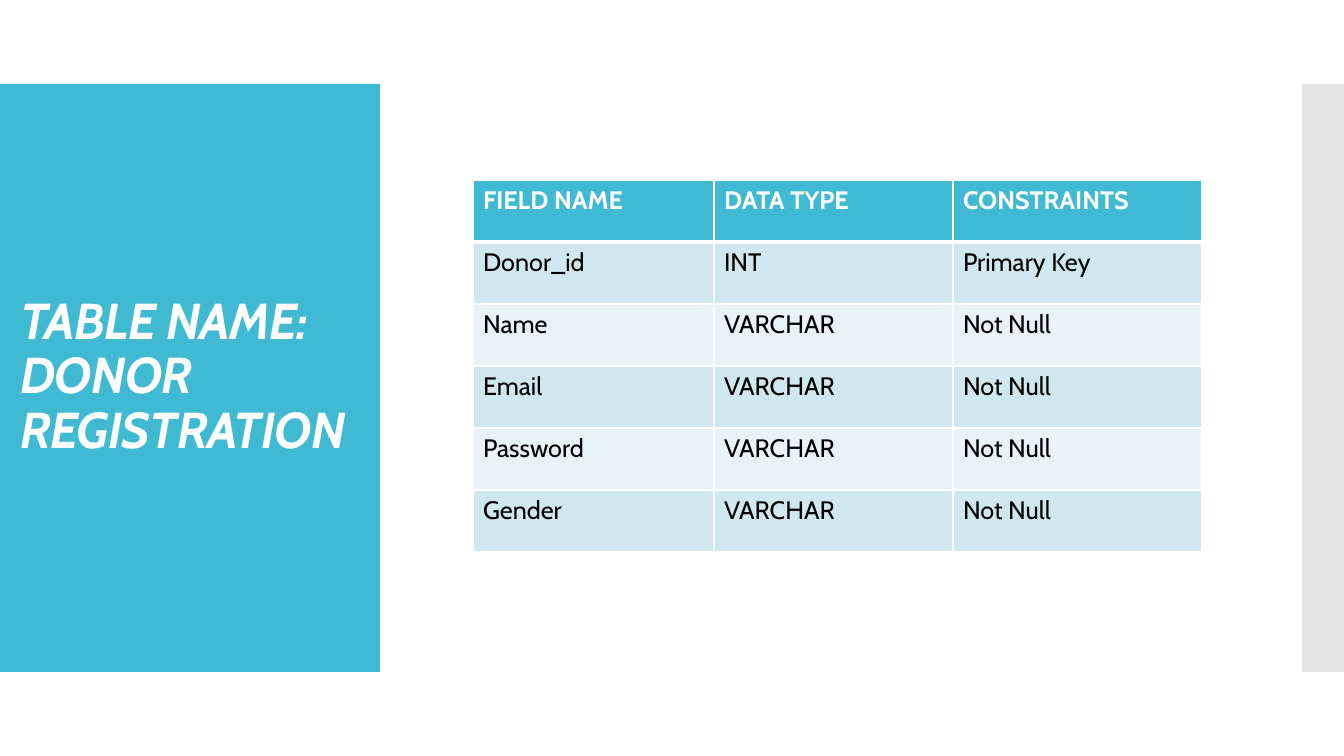
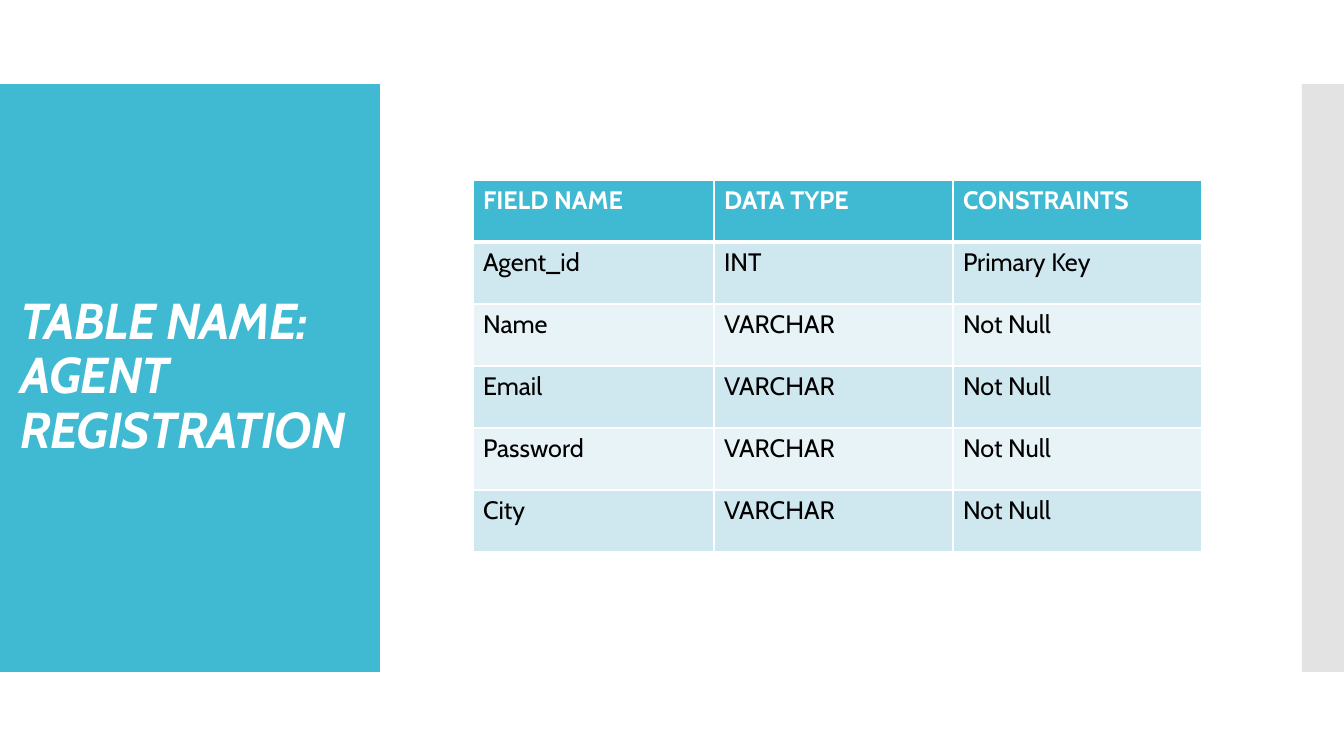
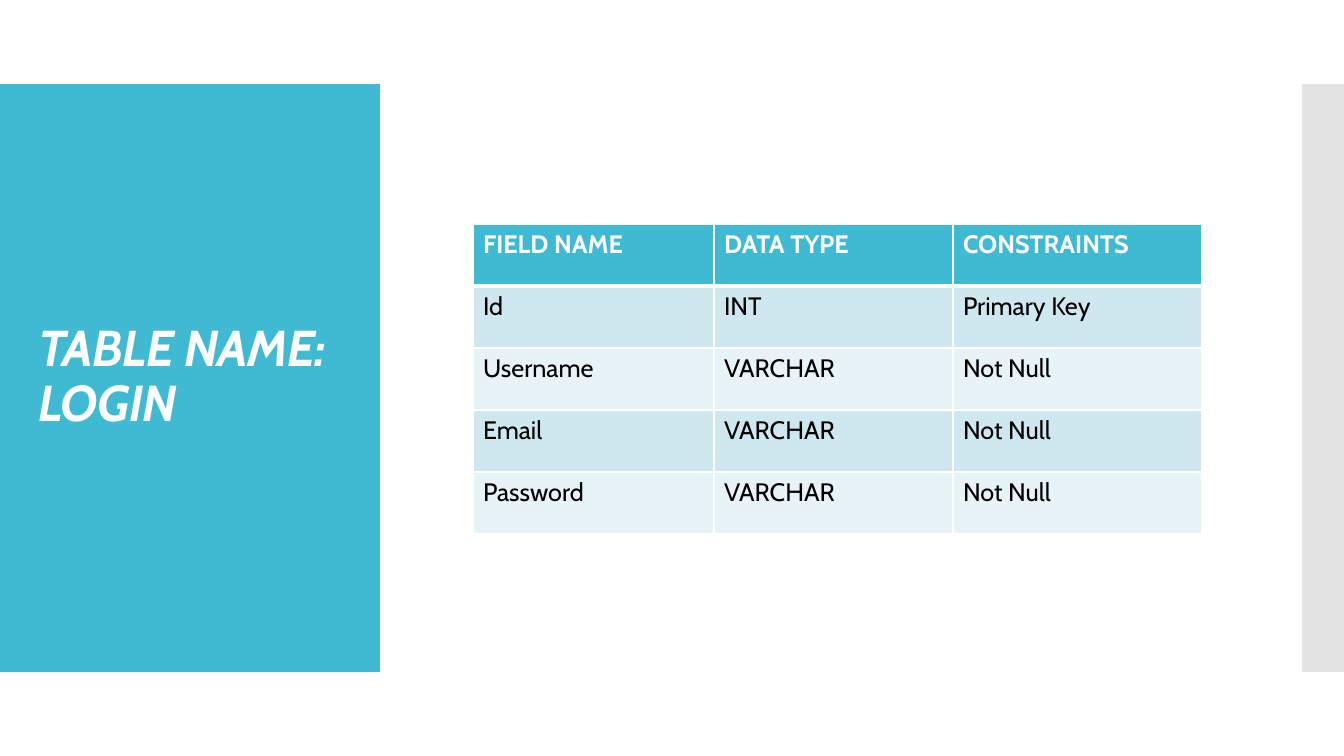
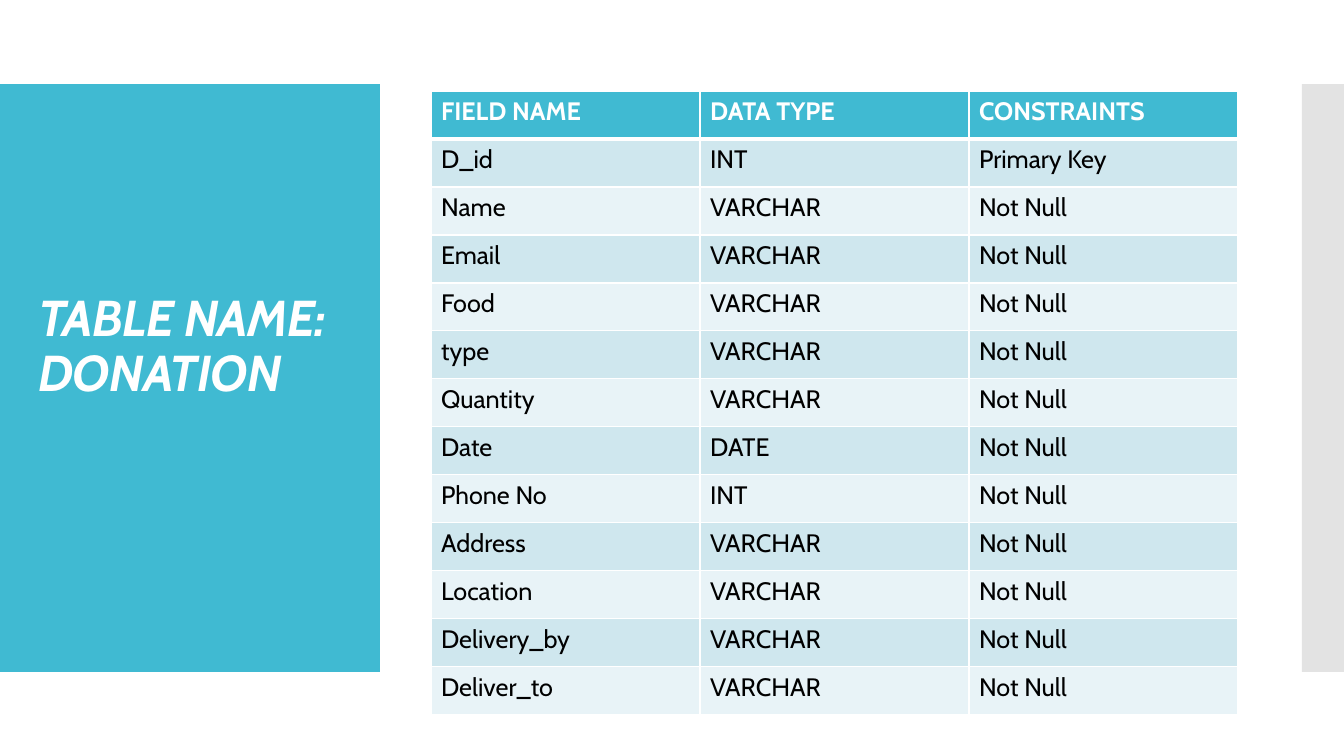
from lxml import etree
from pptx import Presentation
from pptx.dml.color import RGBColor
from pptx.enum.shapes import MSO_SHAPE as Shape
from pptx.enum.text import MSO_ANCHOR as Anchor, MSO_AUTO_SIZE as AutoSize, PP_ALIGN as Align
from pptx.oxml.ns import qn
from pptx.util import Pt

SLIDE_WIDTH, SLIDE_HEIGHT = 1344, 756
EMU_PER_PX = 12192000 / SLIDE_WIDTH
TITLE_ONLY = 5
FONT = "Cabin"
COLORS = {
    "accent": "40BAD2",
    "strip": "C8C8C8",
    "odd_row": "CFE7EE",
    "even_row": "E8F3F7",
    "white": "FFFFFF",
    "text": "000000",
}
PANEL = (0, 84, 380, 588)
STRIP = (1302, 84, 42, 588)
HEADERS = ("FIELD NAME", "DATA TYPE", "CONSTRAINTS")
REGISTRATION_COLUMNS = (241, 239, 249)
DONATION_COLUMNS = (269, 269, 269)

SLIDES = [
    {
        "title": "TABLE NAME:\vDONOR REGISTRATION",
        "title_box": (10, 124, 374, 507),
        "table_at": (473, 180),
        "columns": REGISTRATION_COLUMNS,
        "row_height": 62,
        "fields": [
            ("Donor_id", "INT"),
            ("Name", "VARCHAR"),
            ("Email", "VARCHAR"),
            ("Password", "VARCHAR"),
            ("Gender", "VARCHAR"),
        ],
    },
    {
        "title": "TABLE NAME:\vAGENT REGISTRATION",
        "title_box": (10, 124, 354, 507),
        "table_at": (473, 180),
        "columns": REGISTRATION_COLUMNS,
        "row_height": 62,
        "fields": [
            ("Agent_id", "INT"),
            ("Name", "VARCHAR"),
            ("Email", "VARCHAR"),
            ("Password", "VARCHAR"),
            ("City", "VARCHAR"),
        ],
    },
    {
        "title": "TABLE NAME:\vLOGIN",
        "title_box": (28, 124, 325, 507),
        "table_at": (473, 224),
        "columns": REGISTRATION_COLUMNS,
        "row_height": 62,
        "fields": [
            ("Id", "INT"),
            ("Username", "VARCHAR"),
            ("Email", "VARCHAR"),
            ("Password", "VARCHAR"),
        ],
    },
    {
        "title": "TABLE NAME:\vDONATION",
        "title_box": (28, 124, 325, 507),
        "title_bottom": 65,
        "table_at": (431, 91),
        "columns": DONATION_COLUMNS,
        "row_height": 48,
        "fields": [
            ("D_id", "INT"),
            ("Name", "VARCHAR"),
            ("Email", "VARCHAR"),
            ("Food", "VARCHAR"),
            ("type", "VARCHAR"),
            ("Quantity", "VARCHAR"),
            ("Date", "DATE"),
            ("Phone No", "INT"),
            ("Address", "VARCHAR"),
            ("Location", "VARCHAR"),
            ("Delivery_by", "VARCHAR"),
            ("Deliver_to", "VARCHAR"),
        ],
    },
]


def px(length):
    return round(length * EMU_PER_PX)


def color(name):
    return RGBColor.from_string(COLORS[name])


def format_font(font, size, color_name, bold, italic=False):
    font.name = FONT
    font.size = Pt(size)
    font.color.rgb = color(color_name)
    font.bold = bold
    font.italic = italic


def add_band(slide, box, color_name, opacity=100):
    band = slide.shapes.add_shape(Shape.RECTANGLE, *map(px, box))
    band.shadow.inherit = False
    band.line.fill.background()
    band.fill.solid()
    band.fill.fore_color.rgb = color(color_name)
    if opacity < 100:
        fill_color = band.element.spPr.find(".//" + qn("a:srgbClr"))
        etree.SubElement(fill_color, qn("a:alpha"), val=str(opacity * 1000))


def place_title(slide, text, box, bottom):
    title = slide.shapes.title
    title.element.getparent().append(title.element)
    title.left, title.top, title.width, title.height = map(px, box)
    frame = title.text_frame
    frame.text = text
    frame.word_wrap = True
    frame.auto_size = AutoSize.NONE
    frame.vertical_anchor = Anchor.MIDDLE
    frame.margin_bottom = px(bottom)
    paragraph = frame.paragraphs[0]
    paragraph.alignment = Align.LEFT
    paragraph.line_spacing = 0.9
    for run in paragraph.runs:
        format_font(run.font, 36, "white", True, True)
        run.font._element.set("spc", "-60")


def set_borders(cell, top, bottom):
    properties = cell._tc.get_or_add_tcPr()
    for side, width in (("L", 1), ("R", 1), ("T", top), ("B", bottom)):
        line = etree.SubElement(properties, qn(f"a:ln{side}"), w=str(Pt(width)))
        fill = etree.SubElement(line, qn("a:solidFill"))
        etree.SubElement(fill, qn("a:srgbClr"), val=COLORS["white"])


def format_cell(cell, text, row):
    is_header = row == 0
    set_borders(cell, 3 if row == 1 else 1, 3 if is_header else 1)
    cell.fill.solid()
    fill_name = "accent" if is_header else "odd_row" if row % 2 else "even_row"
    cell.fill.fore_color.rgb = color(fill_name)
    cell.text = text
    font = cell.text_frame.paragraphs[0].runs[0].font
    format_font(font, 18, "white" if is_header else "text", is_header)


def add_field_table(slide, position, columns, row_height, fields):
    rows = [HEADERS]
    for index, field in enumerate(fields):
        rows.append((*field, "Not Null" if index else "Primary Key"))
    size = (sum(columns), row_height * len(rows))
    table = slide.shapes.add_table(
        len(rows), len(columns), *map(px, position + size)
    ).table
    for column, width in zip(table.columns, columns):
        column.width = px(width)
    for row, texts in enumerate(rows):
        table.rows[row].height = px(row_height)
        for column, text in enumerate(texts):
            format_cell(table.cell(row, column), text, row)


def add_table_slide(presentation, content):
    slide = presentation.slides.add_slide(presentation.slide_layouts[TITLE_ONLY])
    add_band(slide, PANEL, "accent")
    add_band(slide, STRIP, "strip", 50)
    place_title(
        slide, content["title"], content["title_box"], content.get("title_bottom", 5)
    )
    add_field_table(
        slide,
        content["table_at"],
        content["columns"],
        content["row_height"],
        content["fields"],
    )


def main():
    presentation = Presentation()
    presentation.slide_width = px(SLIDE_WIDTH)
    presentation.slide_height = px(SLIDE_HEIGHT)
    for content in SLIDES:
        add_table_slide(presentation, content)
    presentation.save("out.pptx")


if __name__ == "__main__":
    main()
